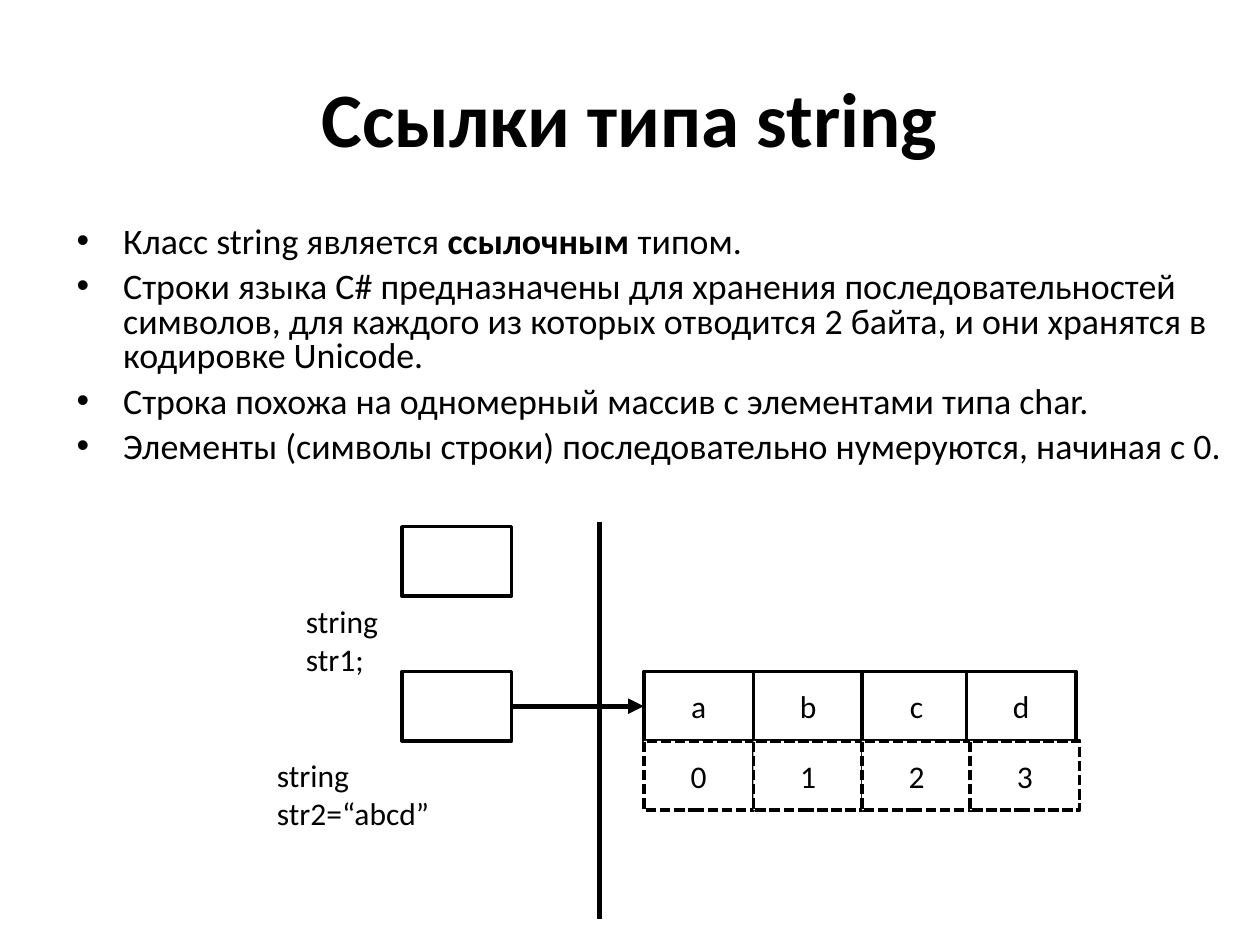
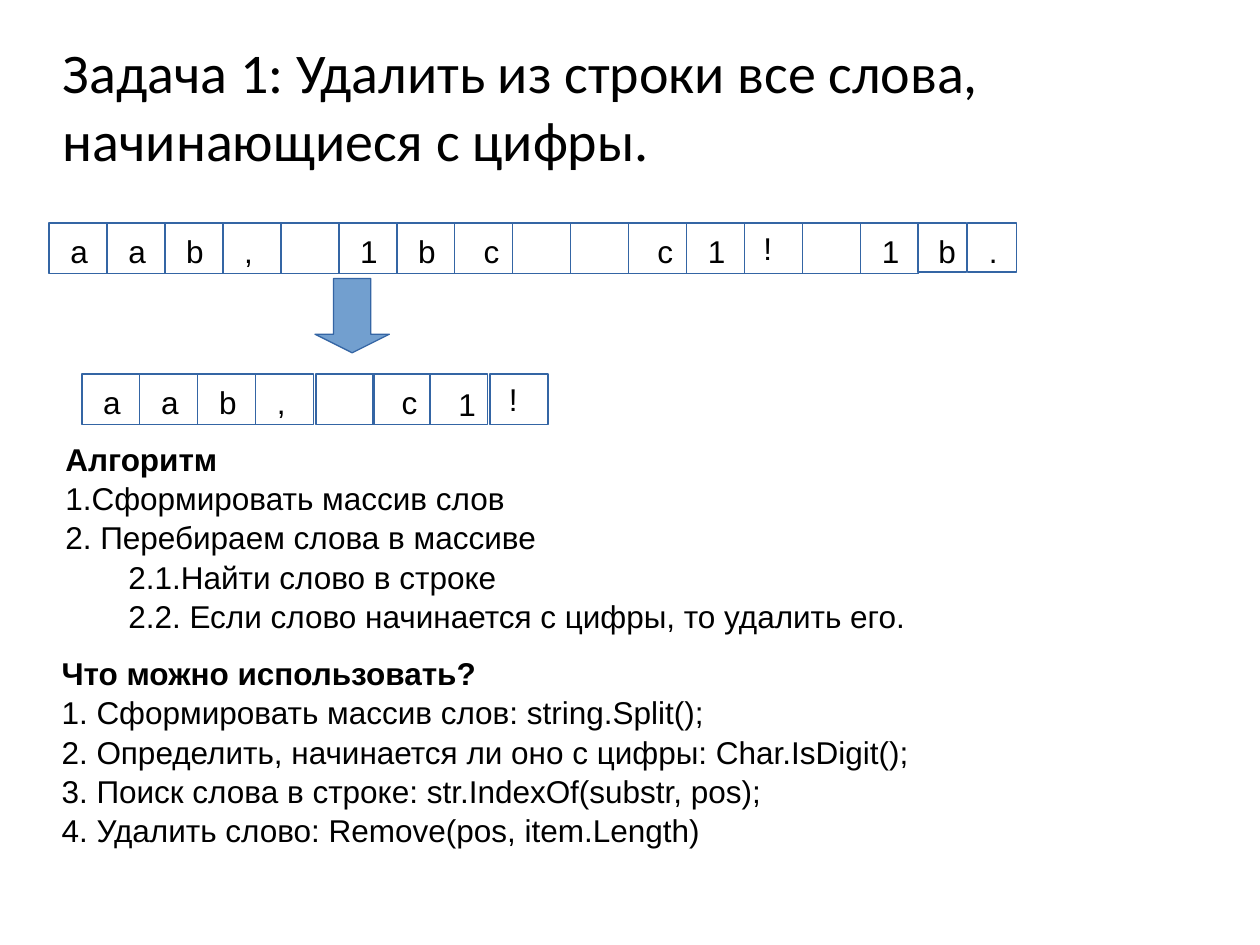
from dataclasses import dataclass
from lxml.etree import SubElement
from pptx import Presentation
from pptx.dml.color import RGBColor
from pptx.enum.dml import MSO_LINE
from pptx.enum.shapes import MSO_CONNECTOR, MSO_SHAPE
from pptx.enum.text import MSO_ANCHOR, PP_ALIGN
from pptx.oxml.ns import qn
from pptx.util import Inches, Pt


@dataclass(frozen=True)
class Theme:
    ink: RGBColor = RGBColor(0, 0, 0)
    paper: RGBColor = RGBColor(255, 255, 255)
    edge: RGBColor = RGBColor(0x34, 0x65, 0xA4)
    fill: RGBColor = RGBColor(0x72, 0x9F, 0xCF)
    head: str = "Calibri"
    body: str = "Arial"
    title: float = 44
    task: float = 32
    point: float = 20.5
    text: float = 18
    thin: float = 0.79
    box: float = 2
    bold: float = 3


T = Theme()

TITLE = "Ссылки типа string"
POINTS = [
    [("Класс string является ", False), ("ссылочным", True), (" типом.", False)],
    [("Строки языка С# предназначены для хранения последовательностей символов, "
      "для каждого из которых отводится 2 байта, и они хранятся в кодировке Unicode.", False)],
    [("Строка похожа на одномерный массив с элементами типа char.", False)],
    [("Элементы (символы строки) последовательно нумеруются, начиная с 0.", False)],
]
LABELS = [("string str1;", (2.33, 4.73, 1.28, 0.4)),
          ("string str2=“abcd”", (2.1, 5.95, 2.03, 0.4))]
REFS = [4.18, 5.33]
ARRAY = [("abcd", 5.33, (5.11, 5.98, 6.84, 7.67), None),
         ("0123", 5.88, (5.11, 5.98, 6.84, 7.7), MSO_LINE.SQUARE_DOT)]

TASK = "Задача 1: Удалить из строки все слова, начинающиеся с цифры."
STEP = 0.46
SHIFT = {"c": (0.13, 0.02), "!": (0.05, 0)}
ROWS = [
    ("aab, 1bc  c1! 1b.", 1.77,
     [0.39 + STEP * i for i in range(15)] + [7.28, 7.68], {}),
    ("aab, c1!", 2.97,
     [0.65, 1.11, 1.57, 2.03, 2.51, 2.96, 3.41, 3.89], {"1": (0.13, 0.04)}),
]
NOTES = [
    ((0.42, 3.43, 9.71, 1.69), "Алгоритм", [
        (0, "1.Сформировать массив слов"),
        (0, "2. Перебираем слова в массиве"),
        (1, "2.1.Найти слово в строке"),
        (1, "2.2. Если слово начинается с цифры, то удалить его.")]),
    ((0.39, 5.13, 9.03, 1.78), "Что можно использовать?", [
        (0, "1. Сформировать массив слов: string.Split();"),
        (0, "2. Определить, начинается ли оно с цифры: Char.IsDigit();"),
        (0, "3. Поиск слова в строке: str.IndexOf(substr, pos);"),
        (0, "4. Удалить слово: Remove(pos, item.Length)")]),
]


def style(para, size, face, bold=None):
    font = para.font
    font.size, font.name = Pt(size), face
    font.color.rgb = T.ink
    if bold is not None:
        font.bold = bold


def frame(dest, at, wrap=True, pad=(0.1, 0.05)):
    text = dest.add_textbox(*map(Inches, at)).text_frame
    text.word_wrap = wrap
    text.margin_left = text.margin_right = Inches(pad[0])
    text.margin_top = text.margin_bottom = Inches(pad[1])
    return text


def write(dest, at, words, size, face, bold=None, **more):
    text = frame(dest, at, **more)
    para = text.paragraphs[0]
    para.text = words
    style(para, size, face, bold)
    return text


def draw(dest, at, line, width, fill=None, kind=MSO_SHAPE.RECTANGLE):
    shape = dest.add_shape(kind, *map(Inches, at))
    shape.shadow.inherit = False
    if fill is None:
        shape.fill.background()
    else:
        shape.fill.solid()
        shape.fill.fore_color.rgb = fill
    shape.line.color.rgb = line
    shape.line.width = Pt(width)
    return shape


def link(dest, start, end):
    line = dest.add_connector(MSO_CONNECTOR.STRAIGHT, *map(Inches, start + end))
    line.line.color.rgb = T.ink
    line.line.width = Pt(T.bold)
    SubElement(line._element.spPr, qn("a:effectLst"))
    return line


def bullet(para):
    props = para._p.get_or_add_pPr()
    props.set("marL", str(Inches(0.38)))
    props.set("indent", str(Inches(-0.37)))
    SubElement(props, qn("a:buFont")).set("typeface", T.body)
    SubElement(props, qn("a:buChar")).set("char", "•")


def list_points(dest):
    text = frame(dest, (0.5, 1.75, 9.3, 2.17))
    for i, parts in enumerate(POINTS):
        para = text.add_paragraph() if i else text.paragraphs[0]
        bullet(para)
        para.line_spacing = 0.8
        para.space_before = Pt(6.4 if i else 0)
        style(para, T.point, T.head)
        for words, bold in parts:
            run = para.add_run()
            run.text = words
            run.font.bold = bold


def array_row(dest, chars, top, lefts, dash):
    group = dest.add_group_shape().shapes
    cells = []
    for char, left in zip(chars, lefts):
        cell = draw(group, (left, top, 0.87, 0.55), T.ink, T.box, T.paper)
        if dash:
            cell.line.dash_style = dash
        cell.text_frame.vertical_anchor = MSO_ANCHOR.MIDDLE
        para = cell.text_frame.paragraphs[0]
        para.text = char
        para.alignment = PP_ALIGN.CENTER
        style(para, T.text, T.head)
        cells.append(cell)
    return cells


def refs_slide(dest):
    text = write(dest, (0.5, 0.3, 9, 1.25), TITLE, T.title, T.head, True)
    text.vertical_anchor = MSO_ANCHOR.MIDDLE
    text.paragraphs[0].alignment = PP_ALIGN.CENTER
    list_points(dest)
    refs = [draw(dest, (3.19, top, 0.87, 0.55), T.ink, T.box, T.paper) for top in REFS]
    link(dest, (4.76, 4.14), (4.76, 7.29))
    rows = [array_row(dest, *row) for row in ARRAY]
    arrow = link(dest, (4.06, 5.6), (5.11, 5.6))
    arrow.begin_connect(refs[1], 3)
    arrow.end_connect(rows[0][0], 1)
    SubElement(arrow.line._get_or_add_ln(), qn("a:tailEnd")).set("type", "triangle")
    for words, at in LABELS:
        write(dest, at, words, T.text, T.head, wrap=False)


def char_row(dest, chars, top, lefts, special):
    group = dest.add_group_shape().shapes
    shifts = SHIFT | special
    for i, left in enumerate(lefts):
        size = (0.39, 0.39) if i > 14 else (STEP, 0.4)
        draw(group, (left, top, *size), T.edge, T.thin)
    for char, left in zip(chars, lefts):
        if char != " ":
            right, down = shifts.get(char, (0.07, 0.02))
            write(group, (left + right, top + down, 0.34, 0.38), char, T.text, T.body)


def task_slide(dest):
    write(dest, (0.5, 0.3, 9, 0.89), TASK, T.task, T.head, pad=(0, 0))
    for row in ROWS:
        char_row(dest, *row)
    arrow = draw(dest, (2.5, 2.21, 0.59, 0.59), T.edge, 0, T.fill, MSO_SHAPE.DOWN_ARROW)
    arrow.adjustments[0], arrow.adjustments[1] = 0.5, 0.25
    for at, head, steps in NOTES:
        text = write(dest, at, head, T.text, T.body, True)
        for level, words in steps:
            para = text.add_paragraph()
            para.text = words
            para.level = level
            para._p.get_or_add_pPr().set("marL", str(Inches(0.5 * level)))
            style(para, T.text, T.body, False)
        for para in text.paragraphs:
            para.line_spacing = 1.04


def main():
    deck = Presentation()
    deck.slide_width, deck.slide_height = Inches(10), Inches(7.5)
    for build in (refs_slide, task_slide):
        build(deck.slides.add_slide(deck.slide_layouts[6]).shapes)
    deck.save("out.pptx")


if __name__ == "__main__":
    main()
